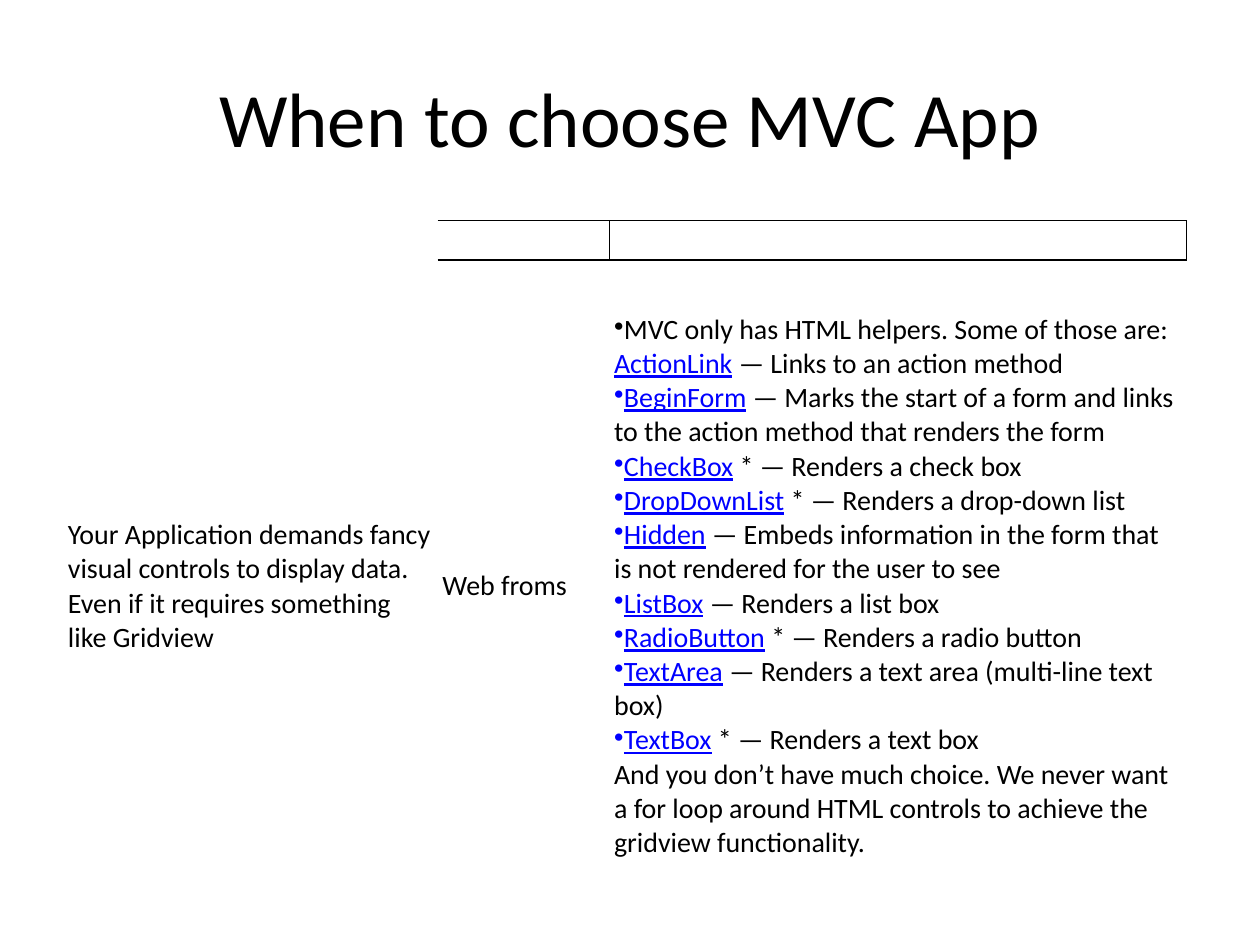
from lxml import etree
from pptx import Presentation
from pptx import util as u
from pptx.dml.color import RGBColor
from pptx.enum import text
from pptx.oxml.ns import qn

BLACK = RGBColor(0, 0, 0)
LINK_BLUE = RGBColor(0, 0, 255)
FONT = "Calibri"
NO_STYLE = "{2D5ABB26-0587-4C30-8999-92F81FD0307C}"


def style(paragraph, size):
    paragraph.font.name = FONT
    paragraph.font.size = u.Pt(size)
    paragraph.font.color.rgb = BLACK


def add_borders(cell, sides):
    properties = cell._tc.get_or_add_tcPr()
    for index, side in enumerate(sides):
        line = etree.Element(qn(f"a:ln{side}"), w=str(u.Pt(0.75)))
        fill = etree.SubElement(line, qn("a:solidFill"))
        etree.SubElement(fill, qn("a:srgbClr"), val=str(BLACK))
        properties.insert(index, line)


deck = Presentation()
deck.slide_width, deck.slide_height = u.Cm(25.4), u.Cm(19.05)
slide = deck.slides.add_slide(deck.slide_layouts[5])

heading = slide.shapes.title
heading.left, heading.top = u.Cm(1.27), u.Cm(0.76)
heading.width, heading.height = u.Cm(22.86), u.Cm(3.18)
heading.text_frame.text = "When to choose MVC App"
heading.text_frame.vertical_anchor = text.MSO_ANCHOR.MIDDLE
heading.text_frame.paragraphs[0].alignment = text.PP_ALIGN.CENTER
style(heading.text_frame.paragraphs[0], 44)

column_widths = [7.55, 3.46, 11.64]
row_heights = [0.79, 13.16]
comparison = slide.shapes.add_table(
    2, 3, u.Cm(1.27), u.Cm(4.45), u.Cm(sum(column_widths)), u.Cm(sum(row_heights))
).table
comparison.first_row = comparison.horz_banding = False
comparison._tbl.tblPr.find(qn("a:tableStyleId")).text = NO_STYLE
for column, width in zip(comparison.columns, column_widths):
    column.width = u.Cm(width)
for row, height in zip(comparison.rows, row_heights):
    row.height = u.Cm(height)

helpers = [
    ("MVC only has HTML helpers. Some of those are: ", "ActionLink", " — Links to an action method"),
    ("", "BeginForm", " — Marks the start of a form and links to the action method that renders the form"),
    ("", "CheckBox", " * — Renders a check box"),
    ("", "DropDownList", " * — Renders a drop-down list"),
    ("", "Hidden", " — Embeds information in the form that is not rendered for the user to see"),
    ("", "ListBox", " — Renders a list box"),
    ("", "RadioButton", " * — Renders a radio button"),
    ("", "TextArea", " — Renders a text area (multi-line text box)"),
    ("", "TextBox", " * — Renders a text box"),
]
requirement, choice, reason = comparison.rows[1].cells
requirement.text = (
    "Your Application demands fancy visual controls to display data. "
    "Even if it requires something like Gridview"
)
choice.text = "Web froms"
reason_frame = reason.text_frame
for index, (intro, helper, purpose) in enumerate(helpers):
    entry = reason_frame.paragraphs[0] if index == 0 else reason_frame.add_paragraph()
    etree.SubElement(entry._p.get_or_add_pPr(), qn("a:buChar"), char="•")
    if intro:
        entry.add_run().text = intro
    link = entry.add_run()
    link.text = helper
    link.font.color.rgb = LINK_BLUE
    link.font.underline = True
    entry.add_run().text = purpose
reason_frame.add_paragraph().text = (
    "And you don’t have much choice. We never want a for loop around "
    "HTML controls to achieve the gridview functionality."
)

for cell in comparison.iter_cells():
    cell.fill.background()
    cell.vertical_anchor = text.MSO_ANCHOR.MIDDLE
    cell.margin_left = cell.margin_right = u.Cm(0.1)
    cell.margin_top = cell.margin_bottom = u.Cm(0.05)
    for paragraph in cell.text_frame.paragraphs:
        style(paragraph, 16)
        if not paragraph.runs:
            etree.SubElement(paragraph._p, qn("a:endParaRPr"), sz="1600")

add_borders(comparison.cell(0, 1), "RTB")
add_borders(comparison.cell(0, 2), "LRTB")

deck.save("out.pptx")
